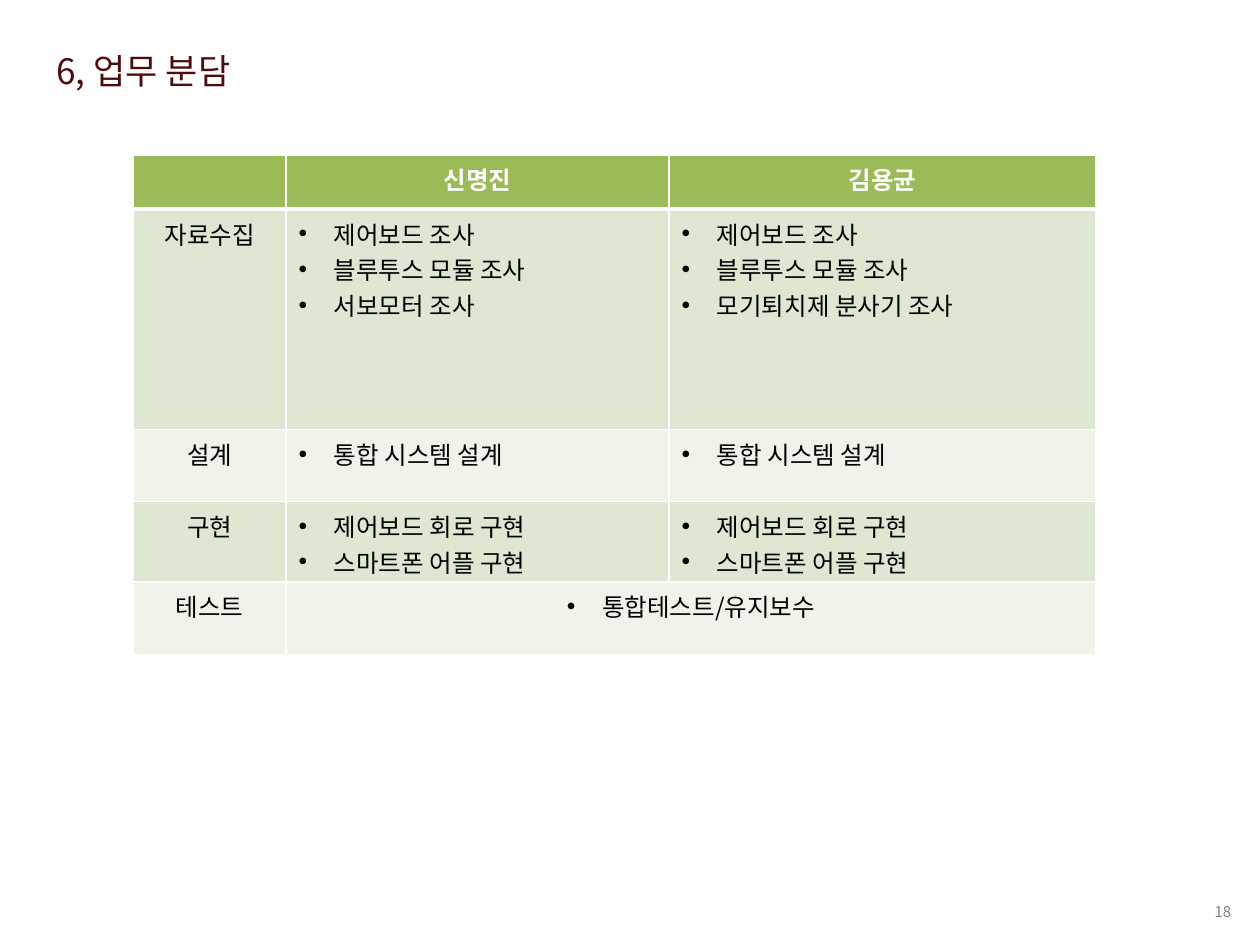
import lxml.etree
import pptx
import pptx.dml.color
import pptx.enum.text
import pptx.oxml.ns
import pptx.util

Inches, Pt = pptx.util.Inches, pptx.util.Pt
Align = pptx.enum.text.PP_ALIGN
Anchor = pptx.enum.text.MSO_ANCHOR
qn = pptx.oxml.ns.qn

THEME = {
    "font": "Noto Sans CJK KR",
    "title": {"size": 20, "color": "4B0D0D", "bold": False},
    "head": {"size": 14, "color": "FFFFFF", "bold": True},
    "body": {"size": 14, "color": "000000", "bold": False},
    "page": {"size": 8.5, "color": "808080", "bold": False},
    "line": "FFFFFF",
    "top": "9BBB59",
    "bands": ["DEE7D1", "EFF3EA"],
}


def write(frame, lines, style, align, bullet=False):
    """Fill a text frame with one styled paragraph per line."""
    look = THEME[style]
    for i, line in enumerate(lines):
        para = frame.paragraphs[0] if i == 0 else frame.add_paragraph()
        para.alignment = align
        if bullet:
            props = para._p.get_or_add_pPr()
            props.set("marL", str(Inches(0.28)))
            props.set("indent", str(-Inches(0.28)))
            lxml.etree.SubElement(props, qn("a:buFont"), typeface="Arial")
            lxml.etree.SubElement(props, qn("a:buChar"), char="•")
        if not line:
            lxml.etree.SubElement(para._p, qn("a:endParaRPr"), sz=str(look["size"] * 100))
            continue
        run = para.add_run()
        run.text = line
        form = {"name": THEME["font"], "size": Pt(look["size"]), "bold": look["bold"]}
        for key, value in form.items():
            setattr(run.font, key, value)
        run.font.color.rgb = pptx.dml.color.RGBColor.from_string(look["color"])
        lxml.etree.SubElement(run._r.get_or_add_rPr(), qn("a:ea"), typeface=THEME["font"])


def paint(cell, fill, edges):
    """Draw the four borders of a cell, then its fill."""
    props = cell._tc.get_or_add_tcPr()
    for side, width in edges.items():
        line = lxml.etree.SubElement(props, qn("a:ln" + side), w=str(Pt(width)))
        solid = lxml.etree.SubElement(line, qn("a:solidFill"))
        lxml.etree.SubElement(solid, qn("a:srgbClr"), val=THEME["line"])
    cell.fill.solid()
    cell.fill.fore_color.rgb = pptx.dml.color.RGBColor.from_string(fill)


deck = pptx.Presentation()
deck.slide_width, deck.slide_height = Inches(10), Inches(7.5)
slide = deck.slides.add_slide(deck.slide_layouts[6])

# Title and page number
labels = [
    ("6, 업무 분담", "title", Align.LEFT, Anchor.TOP, (0.35, 0.34, 7.64, 0.44)),
    ("18", "page", Align.RIGHT, Anchor.MIDDLE, (7.76, 7.1, 2.11, 0.27)),
]
for text, style, align, anchor, place in labels:
    frame = slide.shapes.add_textbox(*map(Inches, place)).text_frame
    frame.word_wrap = True
    frame.vertical_anchor = anchor
    write(frame, [text], style, align)

# Task table: a heading row, then one row per phase
tasks = [
    [[""], ["신명진"], ["김용균"]],
    [["자료수집"],
     ["제어보드 조사", "블루투스 모듈 조사", "서보모터 조사"],
     ["제어보드 조사", "블루투스 모듈 조사", "모기퇴치제 분사기 조사"]],
    [["설계"], ["통합 시스템 설계"], ["통합 시스템 설계"]],
    [["구현"]] + [["제어보드 회로 구현", "스마트폰 어플 구현"]] * 2,
    [["테스트"], ["통합테스트/유지보수"], []],
]
widths = [1.21, 3.04, 3.39]
heights = [0.43, 1.75, 0.57, 0.64, 0.58]
last = len(tasks) - 1

table = slide.shapes.add_table(
    len(heights), len(widths), Inches(1.06), Inches(1.23),
    Inches(sum(widths)), Inches(sum(heights))).table
for col, width in zip(table.columns, widths):
    col.width = Inches(width)
for row, height in zip(table.rows, heights):
    row.height = Inches(height)
table.cell(last, 1).merge(table.cell(last, 2))

for r, row in enumerate(tasks):
    for c, lines in enumerate(row):
        cell = table.cell(r, c)
        fill = THEME["bands"][(r - 1) % 2] if r else THEME["top"]
        paint(cell, fill, {"L": 1, "R": 1, "T": 1, "B": 1 if r else 3})
        bullet = r > 0 and c > 0
        align = Align.LEFT if bullet and r < last else Align.CENTER
        write(cell.text_frame, lines, "body" if r else "head", align, bullet)

deck.save("out.pptx")
